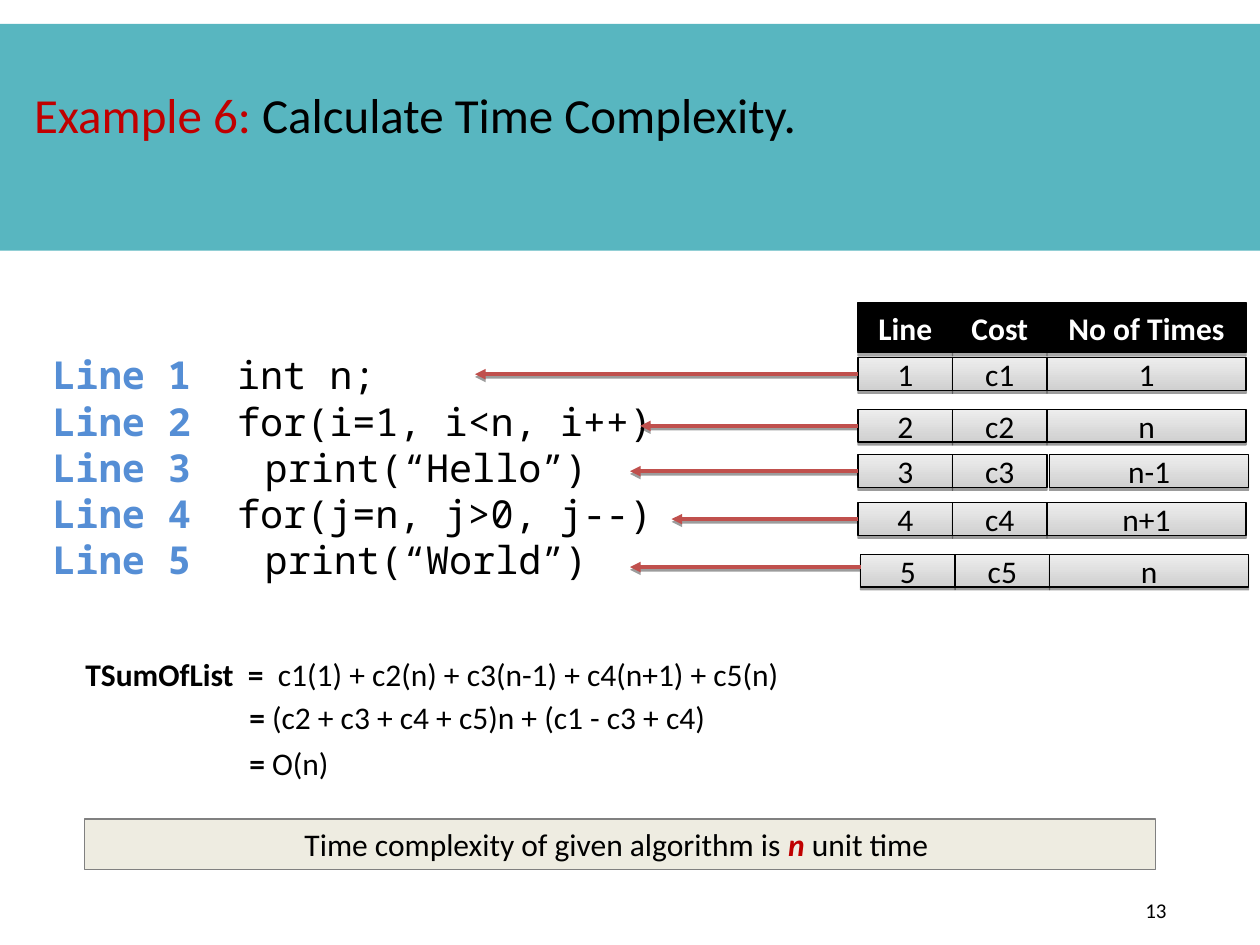
from lxml import etree
from pptx import Presentation
from pptx.dml.color import RGBColor
from pptx.enum.shapes import MSO_CONNECTOR, MSO_SHAPE
from pptx.enum.text import MSO_ANCHOR, PP_ALIGN
from pptx.oxml.ns import qn
from pptx.util import Inches, Pt

RECT = MSO_SHAPE.RECTANGLE
LINE = MSO_CONNECTOR.STRAIGHT
TOP, MIDDLE = MSO_ANCHOR.TOP, MSO_ANCHOR.MIDDLE
LEFT, CENTER, JUSTIFY = PP_ALIGN.LEFT, PP_ALIGN.CENTER, PP_ALIGN.JUSTIFY

BLACK = RGBColor(0x00, 0x00, 0x00)
WHITE = RGBColor(0xFF, 0xFF, 0xFF)
TEAL = RGBColor(0x58, 0xB6, 0xC0)
BLUE = RGBColor(0x55, 0x8E, 0xD5)
RED = RGBColor(0xC0, 0x00, 0x00)
BRICK = RGBColor(0xC0, 0x50, 0x4D)
CREAM = RGBColor(0xEE, 0xEC, 0xE1)
GRAY = RGBColor(0x80, 0x80, 0x80)
PALE = RGBColor(0xED, 0xED, 0xED)
SILVER = RGBColor(0xD0, 0xD0, 0xD0)

SANS, MONO = "Calibri", "Noto Sans Mono"

# Cost grid, in inches: column edges, and per row its top, its values,
# the arrow's end and the shifts of its three cells
COLS = [6.81, 7.56, 8.31, 9.89]
HEAD = ["Line", "Cost", "No of Times"]
ROWS = [
    (2.84, ["1", "c1", "1"], 3.77, (0, 0, 0)),
    (3.25, ["2", "c2", "n"], 5.08, (0, 0, 0)),
    (3.61, ["3", "c3", "n-1"], 5.0, (0, 0, 0.02)),
    (3.99, ["4", "c4", "n+1"], 5.33, (0, 0, 0)),
    (4.4, ["5", "c5", "n"], 5.0, (0.02, 0.02, 0.02)),
]
CELL_H, HEAD_H = 0.26, 0.4

CODE = [
    ("Line 1  ", "int n;"),
    ("Line 2  ", "for(i=1, i<n, i++)"),
    ("Line 3\t ", "print(“Hello”)"),
    ("Line 4  ", "for(j=n, j>0, j--)"),
    ("Line 5\t ", "print(“World”)"),
]
SUMS = [
    (0.58, 5.15, 8.08, "TSumOfList  =  ", "c1(1) + c2(n) + c3(n-1) + c4(n+1) + c5(n)"),
    (1.88, 5.49, 6.98, "=", " (c2 + c3 + c4 + c5)n + (c1 - c3 + c4)"),
    (1.88, 5.86, 2.58, "=", " O(n)"),
]


def write(para, runs, size, font=SANS, align=LEFT):
    """Fill a paragraph with (text, colour, bold, italic) runs."""
    para.alignment = align
    para.font.size, para.font.name = Pt(size), font
    for text, color, bold, slant in runs:
        run = para.add_run()
        run.text = text
        run.font.color.rgb = color
        run.font.bold, run.font.italic = bold, slant


def add_text(slide, box, lines, size, font=SANS, anchor=TOP):
    frame = slide.shapes.add_textbox(*map(Inches, box)).text_frame
    frame.word_wrap = True
    frame.vertical_anchor = anchor
    for i, runs in enumerate(lines):
        para = frame.add_paragraph() if i else frame.paragraphs[0]
        write(para, runs, size, font)
    return frame


def add_box(slide, box, fill, edge=None, runs=(), anchor=TOP):
    """Add a rectangle; a pair of colours as fill makes a gradient."""
    shape = slide.shapes.add_shape(RECT, *map(Inches, box))
    shape.shadow.inherit = False
    if isinstance(fill, list):
        shape.fill.gradient()
        shape.fill.gradient_angle = 270
        for stop, color in zip(shape.fill.gradient_stops, fill):
            stop.color.rgb = color
    else:
        shape.fill.solid()
        shape.fill.fore_color.rgb = fill
    if edge is None:
        shape.line.fill.background()
    else:
        shape.line.color.rgb = edge
        shape.line.width = Pt(0.75)
    if runs:
        shape.text_frame.vertical_anchor = anchor
        write(shape.text_frame.paragraphs[0], runs, 18, align=CENTER)
    return shape


def add_shadow(shape, alpha, dist):
    props = shape._element.spPr
    group = props.find(qn("a:effectLst"))
    if group is None:
        group = etree.SubElement(props, qn("a:effectLst"))
    drop = etree.SubElement(group, qn("a:outerShdw"), blurRad="0", dist=str(Pt(dist)),
                            dir="5400000", rotWithShape="0")
    tint = etree.SubElement(drop, qn("a:srgbClr"), val="000000")
    etree.SubElement(tint, qn("a:alpha"), val=str(alpha * 1000))


def add_arrow(slide, start, end, cell=None):
    arrow = slide.shapes.add_connector(LINE, *map(Inches, start + end))
    if cell is not None:
        arrow.begin_connect(cell, 1)
    arrow.line.color.rgb = BRICK
    arrow.line.width = Pt(2)
    etree.SubElement(arrow.line._get_or_add_ln(), qn("a:tailEnd"), type="triangle")
    add_shadow(arrow, 38, 1.6)


def add_title(slide):
    title = slide.shapes.title
    title.left, title.top, title.width, title.height = map(Inches, (0.17, 0.67, 9.58, 0.93))
    title.text_frame.vertical_anchor = TOP
    para = title.text_frame.paragraphs[0]
    write(para, [("Example 6:", RED, False, False),
                 (" Calculate Time Complexity.", BLACK, False, False)], 28, align=JUSTIFY)
    para.line_spacing = 0.9
    para.space_before = Pt(6)


def add_code(slide):
    lines = [[(label, BLUE, True, False), (code, BLACK, False, False)] for label, code in CODE]
    frame = add_text(slide, (0.32, 2.74, 6, 1.95), lines, 22, MONO)
    # One tab stop indents the loop bodies
    for para in frame.paragraphs:
        tabs = etree.Element(qn("a:tabLst"))
        etree.SubElement(tabs, qn("a:tab"), pos=str(Inches(1.5)), algn="l")
        para.font._element.addprevious(tabs)


def add_grid(slide):
    spans = [(left, right - left) for left, right in zip(COLS, COLS[1:])]
    for (left, width), name in zip(spans, HEAD):
        cell = add_box(slide, (left, 2.4, width, HEAD_H), BLACK, BLACK,
                       [(name, WHITE, True, False)])
        add_shadow(cell, 35, 1.8)
    for top, values, tip, shifts in ROWS:
        cells = []
        for (left, width), value, shift in zip(spans, values, shifts):
            cell = add_box(slide, (left + shift, top, width, CELL_H), [PALE, SILVER], BLACK,
                           [(value, BLACK, False, False)], MIDDLE)
            add_shadow(cell, 38, 1.6)
            cells.append(cell)
        # The last arrow sits a little above its row's middle
        last = top == ROWS[-1][0]
        y = 4.5 if last else top + CELL_H / 2
        add_arrow(slide, (COLS[0] + shifts[0], y), (tip, y), None if last else cells[0])


def main():
    deck = Presentation()
    deck.slide_width, deck.slide_height = Inches(10), Inches(7.5)
    slide = deck.slides.add_slide(deck.slide_layouts[5])

    # Banner, kept behind the title
    band = add_box(slide, (0, 0.19, 10, 1.8), TEAL)
    slide.shapes.title._element.addprevious(band._element)
    add_title(slide)

    # Code and its cost per line
    add_code(slide)
    add_grid(slide)

    # Sum and result
    for left, top, width, head, rest in SUMS:
        add_text(slide, (left, top, width, 0.4),
                 [[(head, BLACK, True, False), (rest, BLACK, False, False)]], 18)
    add_box(slide, (0.67, 6.5, 8.5, 0.4), CREAM, GRAY,
            [("Time complexity of given algorithm is ", BLACK, False, False),
             ("n", RED, True, True), (" unit time ", BLACK, False, False)])

    # Page number
    page = add_text(slide, (9.04, 7.02, 0.78, 0.4), [[("13", BLACK, False, False)]], 12,
                    anchor=MIDDLE)
    page.margin_left = Inches(0.05)

    deck.save("out.pptx")


if __name__ == "__main__":
    main()
